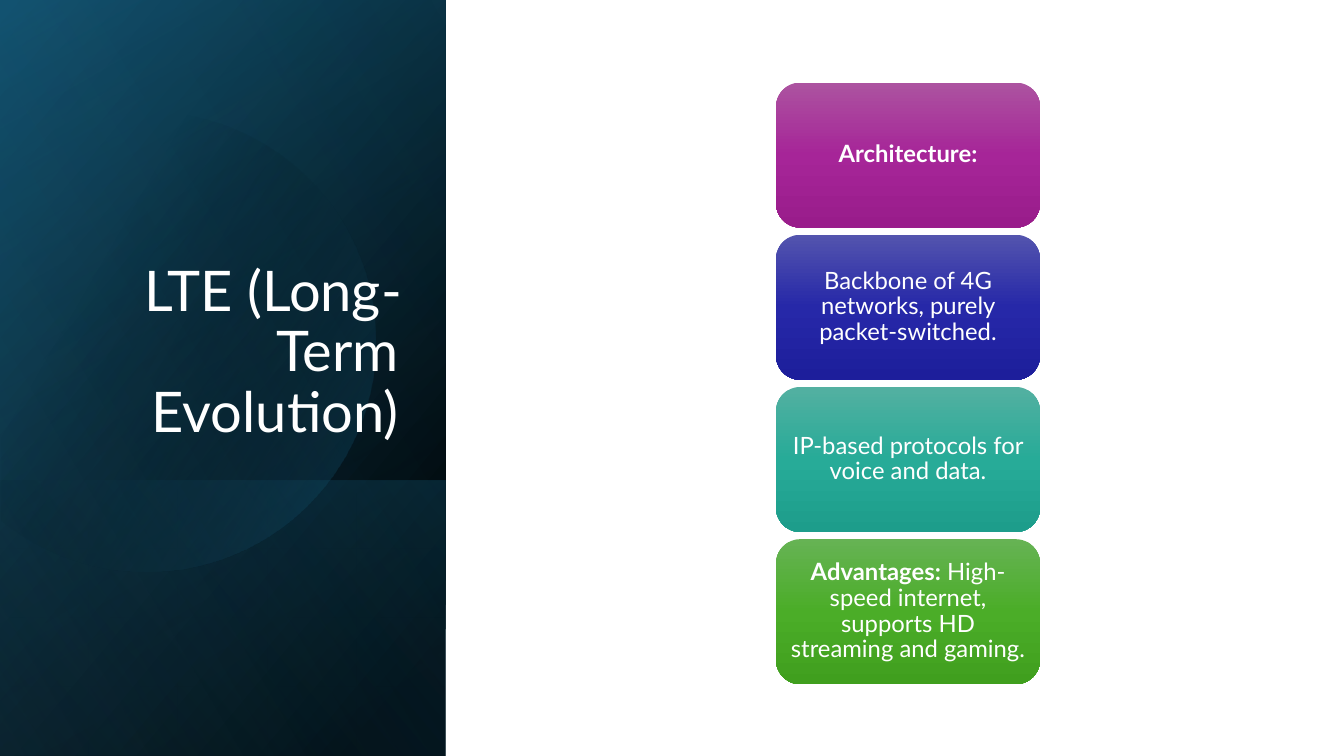
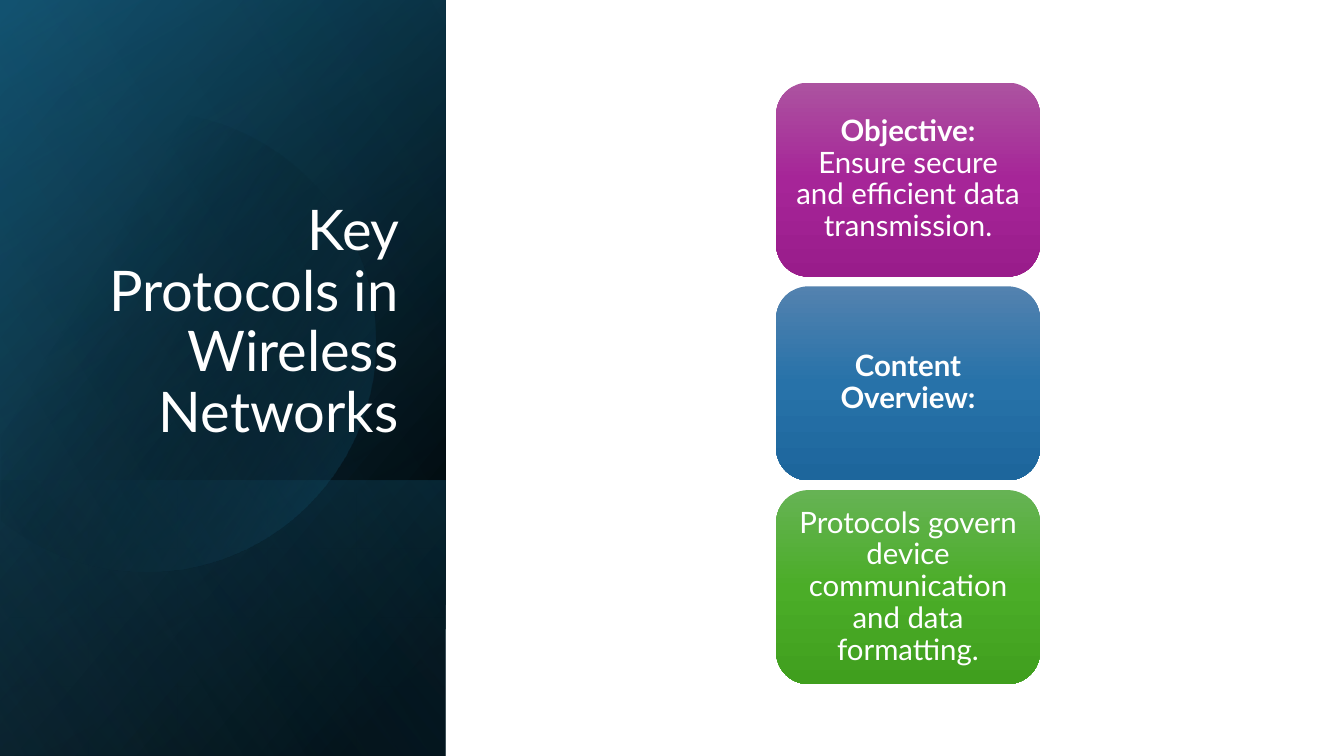
"""Build two slides, each with a dark title band and a stack of coloured cards."""
from dataclasses import dataclass
from math import cos, radians, sin

from pptx import Presentation
from pptx.dml.color import RGBColor
from pptx.enum.shapes import MSO_SHAPE
from pptx.enum.text import MSO_ANCHOR, PP_ALIGN
from pptx.oxml import parse_xml
from pptx.oxml.ns import nsdecls, qn
from pptx.shapes.autoshape import Shape
from pptx.slide import Slide
from pptx.text.text import TextFrame
from pptx.util import Cm, Pt

FONT = "Lato"
WHITE = "FFFFFF"
WIDE, HIGH = 33.87, 19.05
BAND = 11.23
STACK_TOP, STACK_HIGH = 2.08, 15.16
CARD_LEFT, CARD_WIDE = 19.56, 6.65
GAP = 0.05


@dataclass(frozen=True)
class Stop:
    at: int
    color: str
    alpha: int = 100


@dataclass(frozen=True)
class Layer:
    top: float
    high: float
    angle: int
    stops: tuple[Stop, ...]


@dataclass(frozen=True)
class Card:
    colors: tuple[str, str, str]
    bold: str = ""
    plain: str = ""


@dataclass(frozen=True)
class Page:
    title: str
    size: int
    inset: float
    cards: tuple[Card, ...]


BASE = (
    Layer(0, HIGH, 50, (Stop(8, "000000"), Stop(100, "104862"))),
    Layer(0, HIGH, 30, (Stop(0, "000000", 0), Stop(99, "156082", 46))),
    Layer(12.1, 6.95, 130, (Stop(2, "156082", 29), Stop(100, "000000", 30))),
)
DISC = (Stop(29, "000000", 0), Stop(100, "156082", 43))
GLOW = Layer(0, HIGH, 120, (Stop(0, "000000", 0), Stop(99, "46B1E1", 11)))

PURPLE = ("AC53A0", "A62598", "991C8B")
INDIGO = ("5354AE", "2628A8", "1D1E9B")
TEAL = ("53B0A1", "27AB98", "1D9D8B")
BLUE = ("5382AF", "2772A9", "1D669C")
GREEN = ("66B354", "4BAD28", "409F1E")

PAGES = (
    Page("LTE (Long-Term Evolution)", 17, 0.18, (
        Card(PURPLE, bold="Architecture:"),
        Card(INDIGO, plain="Backbone of 4G networks, purely packet-switched."),
        Card(TEAL, plain="IP-based protocols for voice and data."),
        Card(GREEN, "Advantages:", " High-speed internet, supports HD streaming and gaming."),
    )),
    Page("Key Protocols in Wireless Networks", 21, 0.22, (
        Card(PURPLE, "Objective:", " Ensure secure and efficient data transmission."),
        Card(BLUE, bold="Content Overview:"),
        Card(GREEN, plain="Protocols govern device communication and data formatting."),
    )),
)


def paint(shape: Shape, stops: tuple[Stop, ...], angle: int) -> None:
    """Fill a shape with a gradient, without line or shadow."""
    shape.shadow.inherit = False
    shape.line.fill.background()
    shape.fill.gradient()
    marks = "".join(
        f'<a:gs pos="{stop.at * 1000}"><a:srgbClr val="{stop.color}">'
        f'<a:alpha val="{stop.alpha * 1000}"/></a:srgbClr></a:gs>'
        for stop in stops
    )
    fill = parse_xml(
        f'<a:gradFill {nsdecls("a")} rotWithShape="1"><a:gsLst>{marks}</a:gsLst>'
        f'<a:lin ang="{angle * 60000}" scaled="0"/></a:gradFill>'
    )
    props = shape.element.spPr
    props.replace(props.find(qn("a:gradFill")), fill)


def add_layer(slide: Slide, layer: Layer) -> None:
    """Lay a turned and mirrored rectangle across the band."""
    left = (BAND - layer.high) / 2
    top = layer.top + (layer.high - BAND) / 2
    shape = slide.shapes.add_shape(
        MSO_SHAPE.RECTANGLE, Cm(left), Cm(top), Cm(layer.high), Cm(BAND))
    shape.rotation = 90
    shape.element.spPr.find(qn("a:xfrm")).set("flipH", "1")
    paint(shape, layer.stops, layer.angle)


def add_disc(slide: Slide) -> None:
    """Draw the faint disc cut off by the left edge of the slide."""
    points = [
        (Cm(3.68 + 5.79 * cos(radians(turn))), Cm(8.61 + 5.79 * sin(radians(turn))))
        for turn in range(-129, 130, 3)
    ]
    outline = slide.shapes.build_freeform(*points[0])
    outline.add_line_segments(points[1:], close=True)
    paint(outline.convert_to_shape(), DISC, 30)


def write(frame: TextFrame, bold: str, plain: str, size: int, align: PP_ALIGN) -> None:
    """Write one white paragraph with an optional bold opening."""
    frame.word_wrap = True
    para = frame.paragraphs[0]
    para.alignment = align
    para.line_spacing = 0.9
    para.font.name = FONT
    para.font.size = Pt(size)
    para.font.color.rgb = RGBColor.from_string(WHITE)
    if bold:
        run = para.add_run()
        run.text = bold
        run.font.bold = True
    if plain:
        para.add_run().text = plain


def add_title(slide: Slide, title: str) -> None:
    """Set the title at the right of the band."""
    box = slide.shapes.add_textbox(Cm(1.63), Cm(4.67), Cm(8.66), Cm(6.65))
    box.text_frame.vertical_anchor = MSO_ANCHOR.BOTTOM
    write(box.text_frame, "", title, 40, PP_ALIGN.RIGHT)


def add_cards(slide: Slide, page: Page) -> None:
    """Stack the cards so that they share the full height."""
    count = len(page.cards)
    high = STACK_HIGH / (count + GAP * (count - 1))
    for row, card in enumerate(page.cards):
        top = STACK_TOP + row * high * (1 + GAP)
        shape = slide.shapes.add_shape(
            MSO_SHAPE.ROUNDED_RECTANGLE, Cm(CARD_LEFT), Cm(top), Cm(CARD_WIDE), Cm(high))
        paint(shape, tuple(map(Stop, (0, 50, 100), card.colors)), 90)
        frame = shape.text_frame
        frame.vertical_anchor = MSO_ANCHOR.MIDDLE
        frame.margin_left = frame.margin_right = Cm(page.inset)
        frame.margin_top = frame.margin_bottom = Cm(0.11)
        write(frame, card.bold, card.plain, page.size, PP_ALIGN.CENTER)


def main() -> None:
    """Build and save the deck."""
    deck = Presentation()
    deck.slide_width, deck.slide_height = Cm(WIDE), Cm(HIGH)
    for page in PAGES:
        slide = deck.slides.add_slide(deck.slide_layouts[6])
        for layer in BASE:
            add_layer(slide, layer)
        add_disc(slide)
        add_layer(slide, GLOW)
        add_title(slide, page.title)
        add_cards(slide, page)
    deck.save("out.pptx")


if __name__ == "__main__":
    main()
